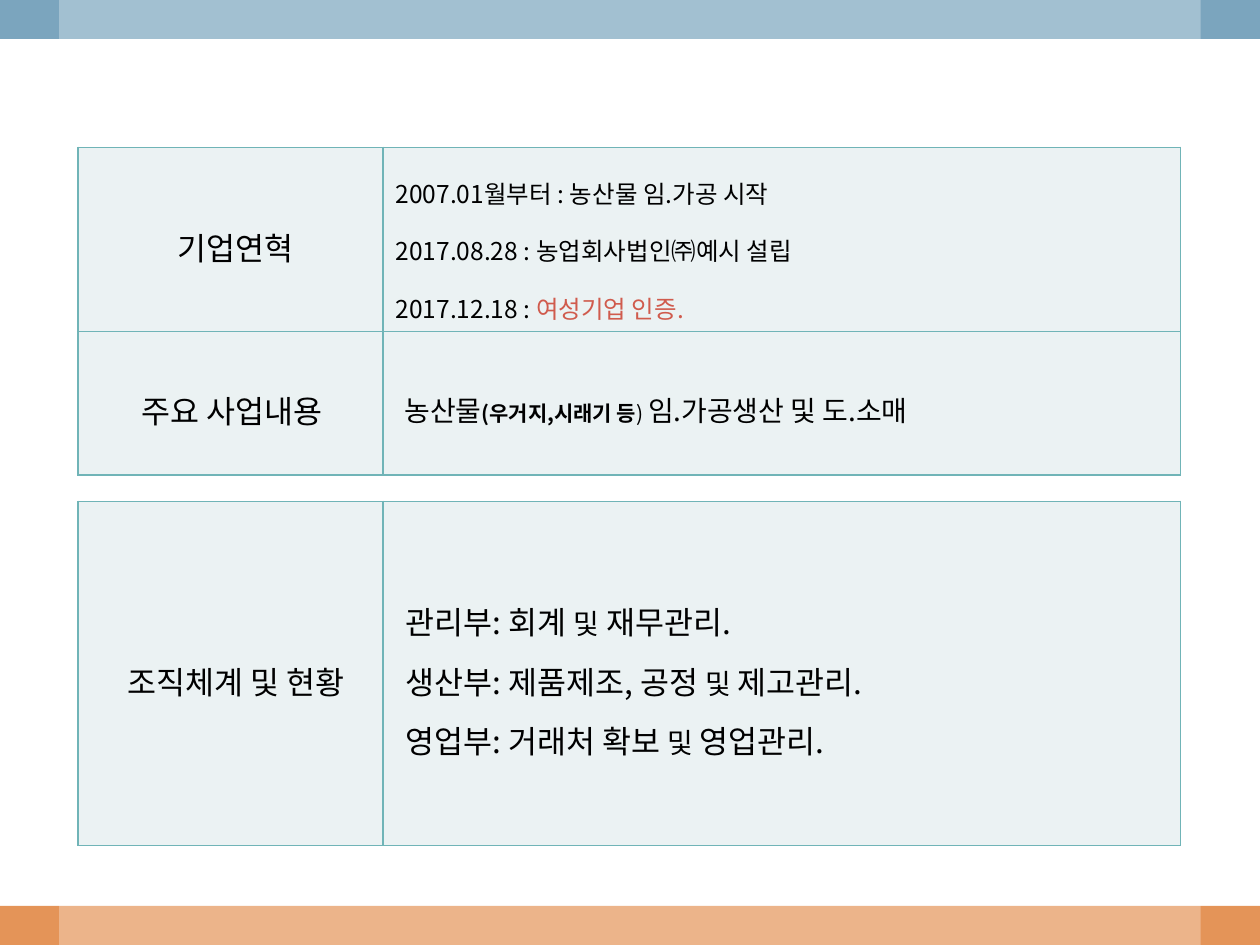
"""Build a company overview slide with two tables between colour bands."""
from lxml import etree
from pptx import Presentation
from pptx import util as u
from pptx.dml.color import RGBColor
from pptx.enum import shapes, text
from pptx.oxml.ns import qn

FONT = "Noto Sans CJK KR"
RED = "D05B4D"
CENTER, JUSTIFY, LEFT = text.PP_ALIGN.CENTER, text.PP_ALIGN.JUSTIFY, text.PP_ALIGN.LEFT


def paint(fill, color):
    fill.solid()
    fill.fore_color.rgb = RGBColor.from_string(color)


def fill_cell(cell, paragraphs, align, spacing, indent):
    cell.vertical_anchor = text.MSO_ANCHOR.MIDDLE
    properties = cell._tc.get_or_add_tcPr()
    for side in ("lnL", "lnR", "lnT", "lnB"):
        border = etree.SubElement(properties, qn(f"a:{side}"), w=str(u.Pt(1)))
        stroke = etree.SubElement(border, qn("a:solidFill"))
        etree.SubElement(stroke, qn("a:srgbClr"), val="70B4B7")
    paint(cell.fill, "EBF2F3")
    frame = cell.text_frame
    for index, runs in enumerate(paragraphs):
        paragraph = frame.paragraphs[0] if index == 0 else frame.add_paragraph()
        paragraph.alignment = align
        paragraph.line_spacing = spacing
        paragraph._p.get_or_add_pPr().set("marL", str(u.Inches(indent)))
        paragraph.font.name = FONT
        etree.SubElement(paragraph.font._element, qn("a:ea"), typeface=FONT)
        if len({size for _, size, *_ in runs}) == 1:
            paragraph.font.size = u.Pt(runs[0][1])
        for words, size, bold, color in runs:
            run = paragraph.add_run()
            run.text = words
            if paragraph.font.size is None:
                run.font.size = u.Pt(size)
            run.font.bold = bold
            paint(run.font.fill, color)


deck = Presentation()
deck.slide_width, deck.slide_height = u.Inches(10), u.Inches(7.5)
slide = deck.slides.add_slide(deck.slide_layouts[6])

for left, top, width, height, color in (
    (0, 7.19, 10, 0.31, "E49458"),
    (0, 0, 10, 0.31, "7BA5BE"),
    (0.47, 0, 9.06, 7.5, "FFFFFF"),
):
    band = slide.shapes.add_shape(
        shapes.MSO_SHAPE.RECTANGLE, *map(u.Inches, (left, top, width, height)))
    band.shadow.inherit = False
    paint(band.fill, color)
    band.line.fill.background()
veil = band.fill._xPr.find(qn("a:solidFill"))[0]
etree.SubElement(veil, qn("a:alpha"), val="30000")

BLACK = "000000"
history = [
    [("2007.01월부터 : 농산물 임.가공 시작", 14, False, BLACK)],
    [("2017.08.28 : 농업회사법인㈜예시 설립", 14, False, BLACK)],
    [("2017.12.18 : ", 14, False, BLACK), ("여성기업 인증.", 14, False, RED)],
]
business = [[
    ("농산물", 16, False, BLACK),
    ("(우거지,시래기 등", 12, True, BLACK),
    (") ", 12, False, BLACK),
    ("임.가공생산 및 도.소매", 16, False, BLACK),
]]
departments = [
    [(before, 18, False, BLACK), (joint, 16, False, BLACK), (after, 18, False, BLACK)]
    for before, joint, after in (
        ("관리부: 회계 ", "및", " 재무관리."),
        ("생산부: 제품제조, 공정 ", "및 ", "제고관리."),
        ("영업부: 거래처 확보 ", "및 ", "영업관리."),
    )
]

overview = (
    (1.17, [(1.36, "기업연혁", history, JUSTIFY, 1.6, 0),
            (1.14, "주요 사업내용 ", business, JUSTIFY, 1.3, 0.07)]),
    (3.98, [(2.73, "조직체계 및 현황", departments, LEFT, 1.3, 0.08)]),
)
for top, rows in overview:
    height = sum(row[0] for row in rows)
    table = slide.shapes.add_table(
        len(rows), 2, *map(u.Inches, (0.62, top, 8.75, height))).table
    table.first_row = table.horz_banding = False
    for column, width in zip(table.columns, (2.42, 6.33)):
        column.width = u.Inches(width)
    for index, (height, heading, details, align, spacing, indent) in enumerate(rows):
        table.rows[index].height = u.Inches(height)
        fill_cell(table.cell(index, 0), [[(heading, 18, False, BLACK)]], CENTER, 1.3, 0.08)
        fill_cell(table.cell(index, 1), details, align, spacing, indent)

deck.save("out.pptx")
